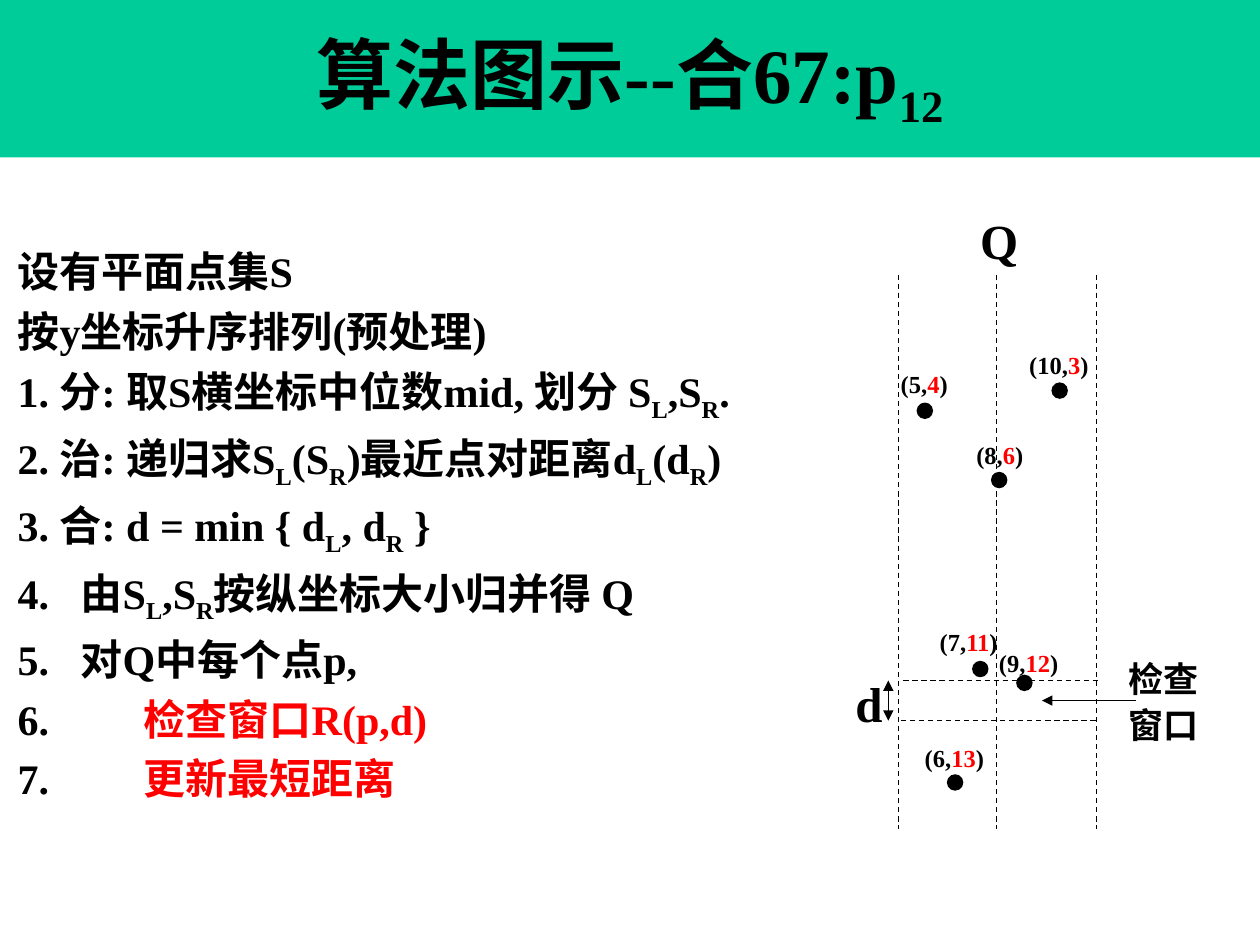
from dataclasses import dataclass

from lxml import etree
from pptx import Presentation
from pptx.dml.color import RGBColor
from pptx.enum import dml, shapes, text
from pptx.oxml import ns
from pptx.util import Inches, Pt


@dataclass(frozen=True)
class Theme:
    font: str = "Times New Roman"
    band: RGBColor = RGBColor(0x00, 0xCC, 0x99)
    ink: RGBColor = RGBColor(0, 0, 0)
    hot: RGBColor = RGBColor(0xFF, 0, 0)
    title: int = 44
    symbol: int = 28
    body: int = 24
    note: int = 20
    label: int = 14
    line: float = 0.75


THEME = Theme()
DOT = 0.12
PLAIN, SUB, HOT = range(3)
L, R = ("L", SUB), ("R", SUB)

# Each paragraph is a list of runs: plain strings or (text, style) pairs
TITLE = ["算法图示--合67:p", ("12", SUB)]
STEPS = [
    ["设有平面点集S"],
    ["按y坐标升序排列(预处理)"],
    ["1. 分: 取S横坐标中位数mid, 划分 S", L, ",S", R, "."],
    ["2. 治: 递归求S", L, "(S", R, ")最近点对距离d", L, "(d", R, ")"],
    ["3. 合: d = min { d", L, ", d", R, " }"],
    ["4.\t由S", L, ",S", R, "按纵坐标大小归并得 Q"],
    ["5.\t对Q中每个点p,"],
    ["6.\t\t", ("检查窗口R(p,d)", HOT)],
    ["7.\t\t", ("更新最短距离", HOT)],
]
TAB_STOPS = (0.92, 1.41)

# x, rank by y, dot left and top, label left, top and width
POINTS = [
    (10, 3, 8.35, 3.04, 8.07, 2.73, 0.68),
    (5, 4, 7.28, 3.2, 7.05, 2.88, 0.58),
    (8, 6, 7.87, 3.75, 7.65, 3.44, 0.58),
    (7, 11, 7.72, 5.25, 7.36, 4.93, 0.66),
    (9, 12, 8.07, 5.36, 7.83, 5.09, 0.68),
    (6, 13, 7.52, 6.15, 7.24, 5.85, 0.68),
]


def place(sp, left, top, width, height):
    sp.left, sp.top = Inches(left), Inches(top)
    sp.width, sp.height = Inches(width), Inches(height)


def add_runs(p, runs, size):
    for item in runs:
        words, style = (item, PLAIN) if isinstance(item, str) else item
        r = p.add_run()
        r.text = words
        r.font.name, r.font.size, r.font.bold = THEME.font, Pt(size), True
        r.font.color.rgb = THEME.hot if style == HOT else THEME.ink
        if style == SUB:
            r.font._element.set("baseline", "-25000")


def paragraphs(tf, lines):
    """Yield one paragraph per line, with its runs still to be added."""
    for i, runs in enumerate(lines):
        yield i, (tf.add_paragraph() if i else tf.paragraphs[0]), runs


def fill_title(sp):
    place(sp, 0, 0, 10, 1.25)
    sp.fill.solid()
    sp.fill.fore_color.rgb = THEME.band
    tf = sp.text_frame
    tf.auto_size = text.MSO_AUTO_SIZE.NONE
    tf.vertical_anchor = text.MSO_ANCHOR.MIDDLE
    tf.paragraphs[0].alignment = text.PP_ALIGN.CENTER
    add_runs(tf.paragraphs[0], TITLE, THEME.title)


def fill_steps(sp):
    place(sp, 0.04, 1.86, 6.02, 5.55)
    tf = sp.text_frame
    tf.word_wrap = True
    tf.auto_size = text.MSO_AUTO_SIZE.SHAPE_TO_FIT_TEXT
    for i, p, runs in paragraphs(tf, STEPS):
        p.line_spacing = 1.1
        p.space_before = Pt(1.2 if i else 0)
        p.space_after = Pt(1.2)
        pPr = p._p.get_or_add_pPr()
        pPr.set("marL", "0")
        pPr.set("indent", "0")
        etree.SubElement(pPr, ns.qn("a:buNone"))
        tabs = etree.SubElement(pPr, ns.qn("a:tabLst"))
        for stop in TAB_STOPS:
            etree.SubElement(tabs, ns.qn("a:tab"), pos=str(Inches(stop)), algn="l")
        add_runs(p, runs, THEME.body)


def add_label(s, box, lines, size):
    tf = s.shapes.add_textbox(*map(Inches, box)).text_frame
    tf.word_wrap = False
    tf.auto_size = text.MSO_AUTO_SIZE.SHAPE_TO_FIT_TEXT
    for i, p, runs in paragraphs(tf, lines):
        p.space_before = Pt(size * 0.1 if i else 0)
        add_runs(p, runs, size)


def add_dot(s, left, top):
    sp = s.shapes.add_shape(shapes.MSO_SHAPE.OVAL, *map(Inches, (left, top, DOT, DOT)))
    sp.shadow.inherit = False
    sp.fill.solid()
    sp.fill.fore_color.rgb = THEME.ink
    sp.line.color.rgb = THEME.ink
    sp.line.width = Pt(THEME.line)


def add_line(s, x1, y1, x2, y2, dashed=False, ends=()):
    sp = s.shapes.add_connector(
        shapes.MSO_CONNECTOR.STRAIGHT, *map(Inches, (x1, y1, x2, y2)))
    sp.line.color.rgb = THEME.ink
    sp.line.width = Pt(THEME.line)
    if dashed:
        sp.line.dash_style = dml.MSO_LINE.DASH
    for end in ends:
        etree.SubElement(sp.line._get_or_add_ln(), ns.qn(f"a:{end}"), type="triangle")
    etree.SubElement(sp._element.spPr, ns.qn("a:effectLst"))


def add_diagram(s):
    # Points
    for point in POINTS:
        add_dot(s, *point[2:4])

    # Strip borders, centre line and checking window
    for x in (7.13, 7.91, 8.7):
        add_line(s, x, 2.18, x, 6.58, dashed=True)
    for left, y in ((7.17, 5.4), (7.15, 5.72)):
        add_line(s, left, y, left + 1.55, y, dashed=True)

    # Arrows
    add_line(s, 8.27, 5.56, 9.02, 5.56, ends=["headEnd"])
    add_line(s, 7.05, 5.72, 7.05, 5.4, ends=["headEnd", "tailEnd"])

    # Labels
    add_label(s, (7.68, 1.62, 0.61, 0.57), [["Q"]], THEME.symbol)
    add_label(s, (6.69, 5.3, 0.52, 0.57), [["d"]], THEME.symbol)
    add_label(s, (8.86, 5.17, 0.77, 0.81), [["检查"], ["窗口"]], THEME.note)
    for x, rank, _, _, left, top, width in POINTS:
        runs = [f"({x},", (str(rank), HOT), ")"]
        add_label(s, (left, top, width, 0.34), [runs], THEME.label)


def main():
    prs = Presentation()
    prs.slide_width, prs.slide_height = Inches(10), Inches(7.5)
    s = prs.slides.add_slide(prs.slide_layouts[1])
    fill_title(s.shapes.title)
    fill_steps(s.placeholders[1])
    add_diagram(s)
    prs.save("out.pptx")


if __name__ == "__main__":
    main()
